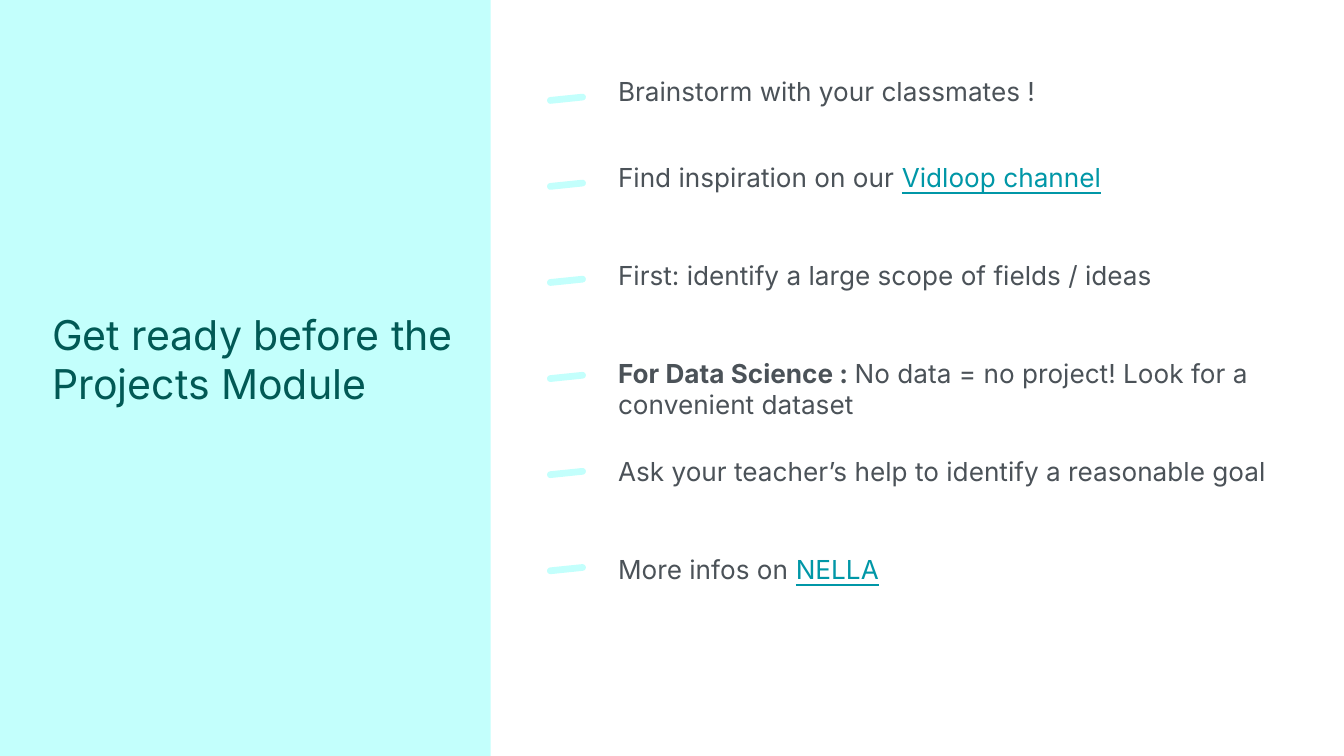
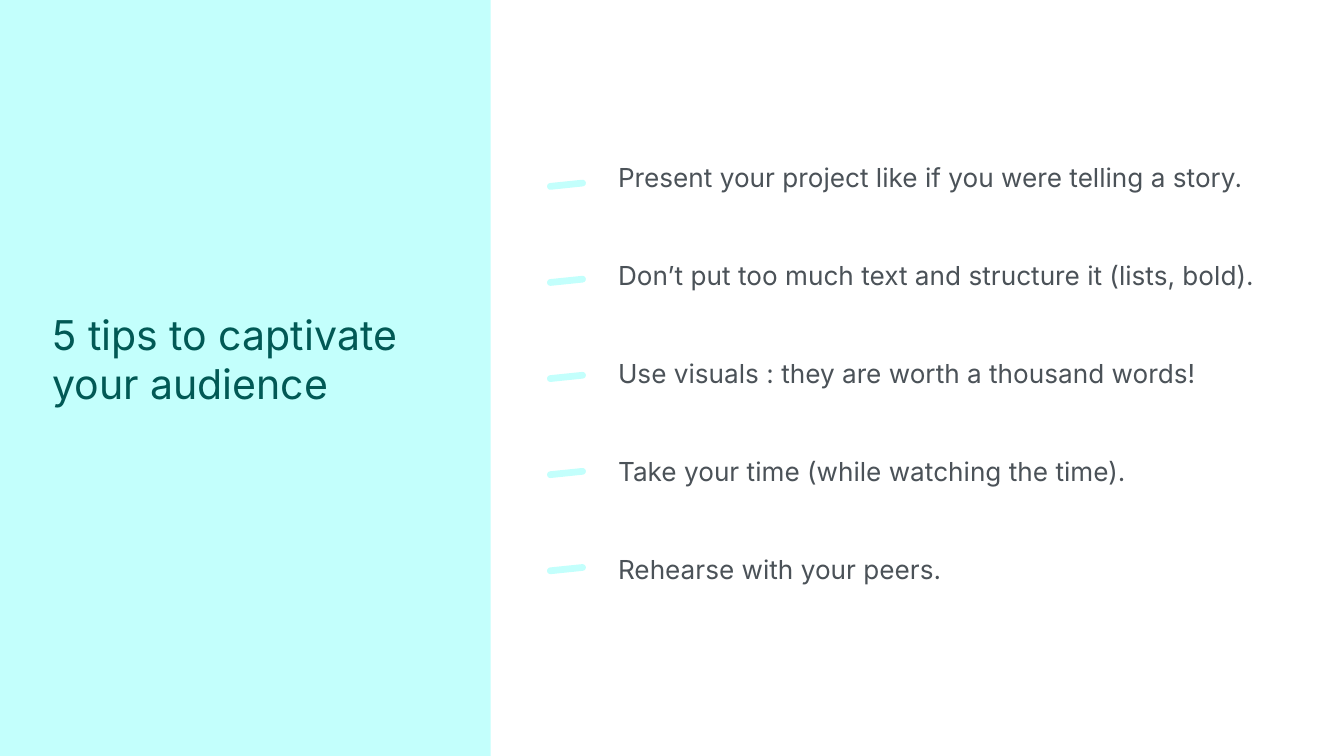
from pptx import Presentation
from pptx.dml.color import RGBColor
from pptx.enum.shapes import MSO_SHAPE
from pptx.enum.text import MSO_ANCHOR, MSO_AUTO_SIZE, PP_ALIGN
from pptx.util import Inches, Pt

RECT, ROUND = MSO_SHAPE.RECTANGLE, MSO_SHAPE.ROUNDED_RECTANGLE
TOP, LEFT = MSO_ANCHOR.TOP, PP_ALIGN.LEFT
FIXED, GROW = MSO_AUTO_SIZE.NONE, MSO_AUTO_SIZE.SHAPE_TO_FIT_TEXT

AQUA = RGBColor(0xC3, 0xFF, 0xFC)
PINE = RGBColor(0x01, 0x59, 0x55)
SLATE = RGBColor(0x4B, 0x52, 0x58)
TEAL = RGBColor(0x00, 0x97, 0xA7)

PLAIN, BOLD, LINK = "plain", "bold", "link"
FONT = "Inter"
TITLE_ONLY = 5
WIDTH = Inches(10)
HEIGHT = WIDTH * 9 // 16

READY = [
    [("Find inspiration on our ", PLAIN), ("Vidloop channel", LINK)],
    [("First: identify a large scope of fields / ideas", PLAIN)],
    [("For Data Science : ", BOLD),
     ("No data = no project! Look for a convenient dataset", PLAIN)],
    [("Ask your teacher’s help to identify a reasonable goal", PLAIN)],
    [("More infos on ", PLAIN), ("NELLA", LINK)],
]
TIPS = [[(text, PLAIN)] for text in (
    "Present your project like if you were telling a story.",
    "Don’t put too much text and structure it (lists, bold).",
    "Use visuals : they are worth a thousand words!",
    "Take your time (while watching the time).",
    "Rehearse with your peers.",
)]


class Deck:
    """Holds the style and the current slide, and draws each kind of element."""

    def __init__(self):
        self.prs = Presentation()
        self.prs.slide_width, self.prs.slide_height = WIDTH, HEIGHT
        self.slide = None

    def shape(self, kind, left, top, width, height):
        box = self.slide.shapes.add_shape(
            kind, Inches(left), Inches(top), Inches(width), Inches(height))
        box.shadow.inherit = False
        box.fill.solid()
        box.fill.fore_color.rgb = AQUA
        box.line.fill.background()
        return box

    def frame(self, box, fit=FIXED):
        frame = box.text_frame
        frame.word_wrap = True
        frame.auto_size = fit
        frame.vertical_anchor = TOP
        frame.margin_left = frame.margin_right = Inches(0.1)
        frame.margin_top = frame.margin_bottom = Inches(0.1)
        return frame

    def run(self, para, text, size, color):
        run = para.add_run()
        run.text = text
        run.font.name, run.font.size = FONT, Pt(size)
        run.font.color.rgb = color
        return run

    def page(self, lines):
        layout = self.prs.slide_layouts[TITLE_ONLY]
        self.slide = self.prs.slides.add_slide(layout)
        self.shape(RECT, 0, -0.01, 3.65, 5.64)
        title = self.slide.shapes.title
        title.left, title.top = Inches(0.29), Inches(2.2)
        title.width, title.height = Inches(3.25), Inches(1.23)
        title.element.getparent().append(title.element)
        frame = self.frame(title)
        for i, line in enumerate(lines):
            para = frame.add_paragraph() if i else frame.paragraphs[0]
            para.alignment = LEFT
            self.run(para, line, 22, PINE)

    def dash(self, top):
        mark = self.shape(ROUND, 4.07, top, 0.29, 0.05)
        mark.adjustments[0] = 0.5
        mark.rotation = 354.1

    def item(self, parts, top, mark, width=5.25, height=0.42, fit=FIXED):
        self.dash(mark)
        box = self.slide.shapes.add_textbox(
            Inches(4.5), Inches(top), Inches(width), Inches(height))
        para = self.frame(box, fit).paragraphs[0]
        para.alignment = LEFT
        for text, look in parts:
            run = self.run(para, text, 14, TEAL if look == LINK else SLATE)
            run.font.bold = look == BOLD
            run.font.underline = look == LINK

    def items(self, rows, width):
        last = len(rows) - 1
        for i, parts in enumerate(rows):
            top = 1.1 + 0.73 * i
            mark = 1.35 + 2.86 * i / last
            if i == last:
                self.item(parts, top, mark, width, 0.44, GROW)
            else:
                self.item(parts, top, mark)


def main():
    deck = Deck()
    deck.page(["Get ready before the Projects Module"])
    deck.item([("Brainstorm with your classmates !", PLAIN)], 0.46, 0.71)
    deck.items(READY, 5.05)
    deck.page(["5 tips to captivate", "your audience"])
    deck.items(TIPS, 3.28)
    deck.prs.save("out.pptx")


if __name__ == "__main__":
    main()
